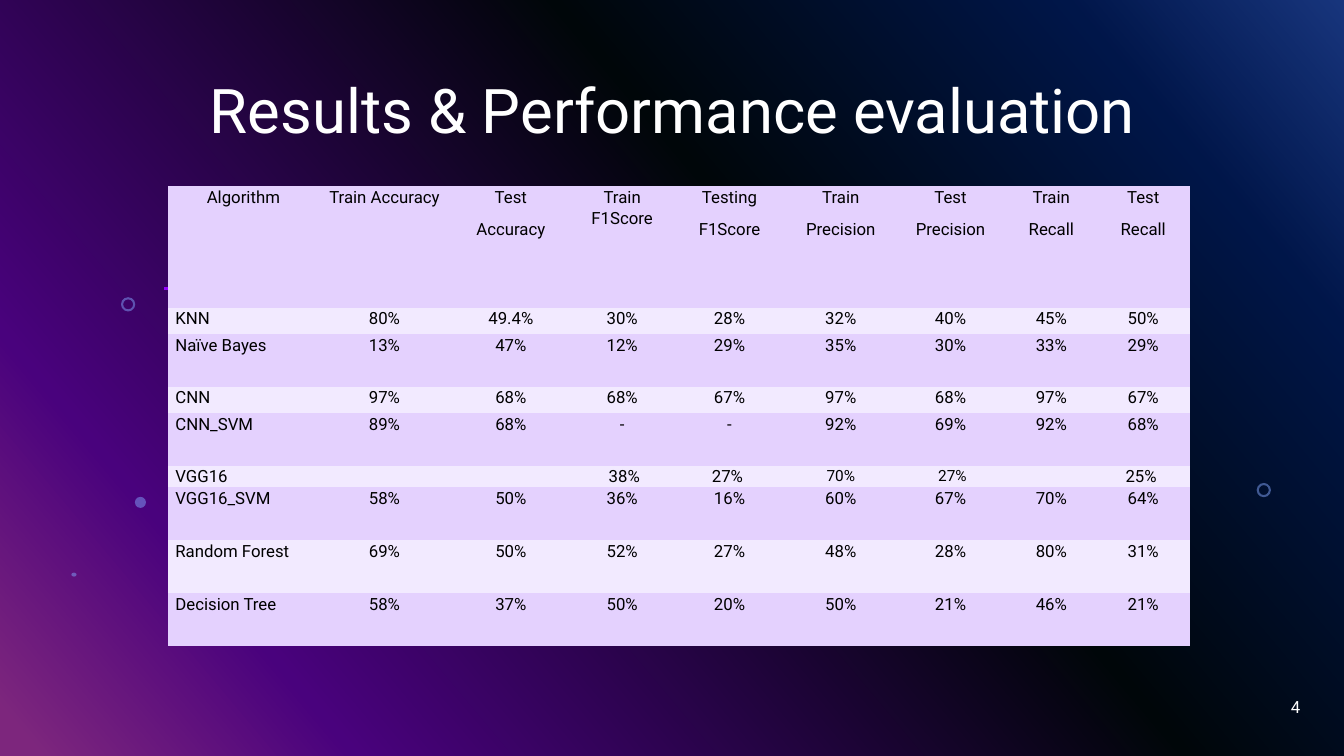
"""Builds the slide comparing the results of the classification algorithms."""
from lxml.etree import SubElement
from pptx import Presentation
from pptx.dml.color import RGBColor
from pptx.enum.shapes import MSO_CONNECTOR, MSO_SHAPE as Preset
from pptx.enum.text import MSO_ANCHOR as Anchor, PP_ALIGN as Align
from pptx.oxml.ns import qn
from pptx.util import Cm, Pt


def paint(fill, color, opacity=None):
    fill.solid()
    fill.fore_color.rgb = RGBColor.from_string(color)
    if opacity:
        tint = fill._xPr.find(".//" + qn("a:srgbClr"))
        SubElement(tint, qn("a:alpha"), val=str(opacity * 1000))


def write(frame, text, size, color, align=None, anchor=Anchor.TOP, spacing=None, after=None):
    frame.word_wrap = True
    frame.vertical_anchor = anchor
    for index, line in enumerate(text.split("\n")):
        paragraph = frame.paragraphs[0] if index == 0 else frame.add_paragraph()
        paragraph.alignment = align
        paragraph.line_spacing = spacing
        paragraph.space_after = after
        if not line:
            paragraph._p.get_or_add_endParaRPr().set("sz", str(size * 100))
            continue
        run = paragraph.add_run()
        run.text = line
        run.font.name = "Roboto"
        run.font.size = Pt(size)
        paint(run.font.fill, color)


deck = Presentation()
deck.slide_width, deck.slide_height = Cm(33.87), Cm(19.05)
slide = deck.slides.add_slide(deck.slide_layouts[6])
shapes = slide.shapes

backdrop = slide.background.fill
backdrop.gradient()
backdrop.gradient_angle = 220
stops = slide._element.find(".//" + qn("a:gsLst"))
for stop in list(stops):
    stops.remove(stop)
for position, color in [(0, "316CFC"), (14, "022D94"), (40, "020D13"),
                        (82, "9405FC"), (98, "FC4EFB")]:
    stop = SubElement(stops, qn("a:gs"), pos=str(position * 1000))
    SubElement(stop, qn("a:srgbClr"), val=color)

decorations = [
    (Preset.RECTANGLE, 0, 0, 33.87, 19.05, "000000", 50),
    (Preset.DONUT, 3.05, 7.49, 0.36, 0.36, "83A7FD", 49),
    (Preset.OVAL, 3.4, 12.52, 0.28, 0.28, "83A7FD", 49),
    (Preset.DONUT, 31.67, 12.17, 0.36, 0.36, "83A7FD", 49),
    (Preset.OVAL, 1.8, 14.43, 0.13, 0.1, "83A7FD", 49),
]
for preset, left, top, width, height, color, opacity in decorations:
    decoration = shapes.add_shape(preset, Cm(left), Cm(top), Cm(width), Cm(height))
    decoration.shadow.inherit = False
    paint(decoration.fill, color, opacity)
    decoration.line.fill.background()
    if preset == Preset.DONUT:
        decoration.adjustments[0] = 0.15

title = shapes.add_textbox(Cm(2.36), Cm(1.02), Cm(29.21), Cm(3.68))
write(title.text_frame, "Results & Performance evaluation", 44, "FFFFFF",
      Align.CENTER, Anchor.MIDDLE, 0.9)

page_number = shapes.add_textbox(Cm(25.4), Cm(17.3), Cm(7.62), Cm(1.02))
write(page_number.text_frame, "4", 12, "FFFFFF", Align.RIGHT, Anchor.MIDDLE)

rule = shapes.add_connector(MSO_CONNECTOR.STRAIGHT, Cm(4.14), Cm(7.26), Cm(22.02), Cm(7.26))
SubElement(rule._element.spPr, qn("a:effectLst"))
rule.line.width = Pt(2)
paint(rule.line.fill, "9405FC")

results = [
    ["Algorithm", "Train Accuracy", "Test\nAccuracy", "Train F1Score", "Testing\nF1Score",
     "Train\nPrecision", "Test\nPrecision", "Train\nRecall", "Test\nRecall"],
    ["KNN", "80%", "49.4%", "30%", "28%", "32%", "40%", "45%", "50%"],
    ["Naïve Bayes", "13%", "47%", "12%", "29%", "35%", "30%", "33%", "29%"],
    ["CNN", "97%", "68%", "68%", "67%", "97%", "68%", "97%", "67%"],
    ["CNN_SVM", "89%", "68%", "-", "-", "92%", "69%", "92%", "68%"],
    ["VGG16", "", "", " 38%", "27% ", "70%", " 27%", "", "25% "],
    ["VGG16_SVM", "58%", "50%", "36%", "16%", "60%", "67%", "70%", "64%"],
    ["Random Forest", "69%", "50%", "52%", "27%", "48%", "28%", "80%", "31%"],
    ["Decision Tree", "58%", "37%", "50%", "20%", "50%", "21%", "46%", "21%"],
]
column_widths = [3.81, 3.3, 3.07, 2.54, 2.87, 2.74, 2.79, 2.29, 2.34]
row_heights = [3.07, 0.66, 1.33, 0.66, 1.33, 0.53, 1.33, 1.33, 1.33]
smaller_cells = {(5, 5), (5, 6)}

grid = shapes.add_table(len(results), len(column_widths), Cm(4.23), Cm(4.69),
                        Cm(sum(column_widths)), Cm(sum(row_heights))).table
grid.first_row = grid.horz_banding = False
grid._tbl.tblPr.find(qn("a:tableStyleId")).text = "{2D5ABB26-0587-4C30-8999-92F81FD0307C}"
for column, width in zip(grid.columns, column_widths):
    column.width = Cm(width)
for r, (algorithm, height) in enumerate(zip(results, row_heights)):
    grid.rows[r].height = Cm(height)
    for c, value in enumerate(algorithm):
        cell = grid.cell(r, c)
        cell.margin_left = cell.margin_right = Cm(0.19)
        cell.margin_top = cell.margin_bottom = 0
        paint(cell.fill, "F2EAFF" if r % 2 else "E4D1FE")
        write(cell.text_frame, value, 11 if (r, c) in smaller_cells else 12, "000000",
              Align.LEFT if r and c == 0 else Align.CENTER, None, 1.07, Pt(8))

deck.save("out.pptx")
